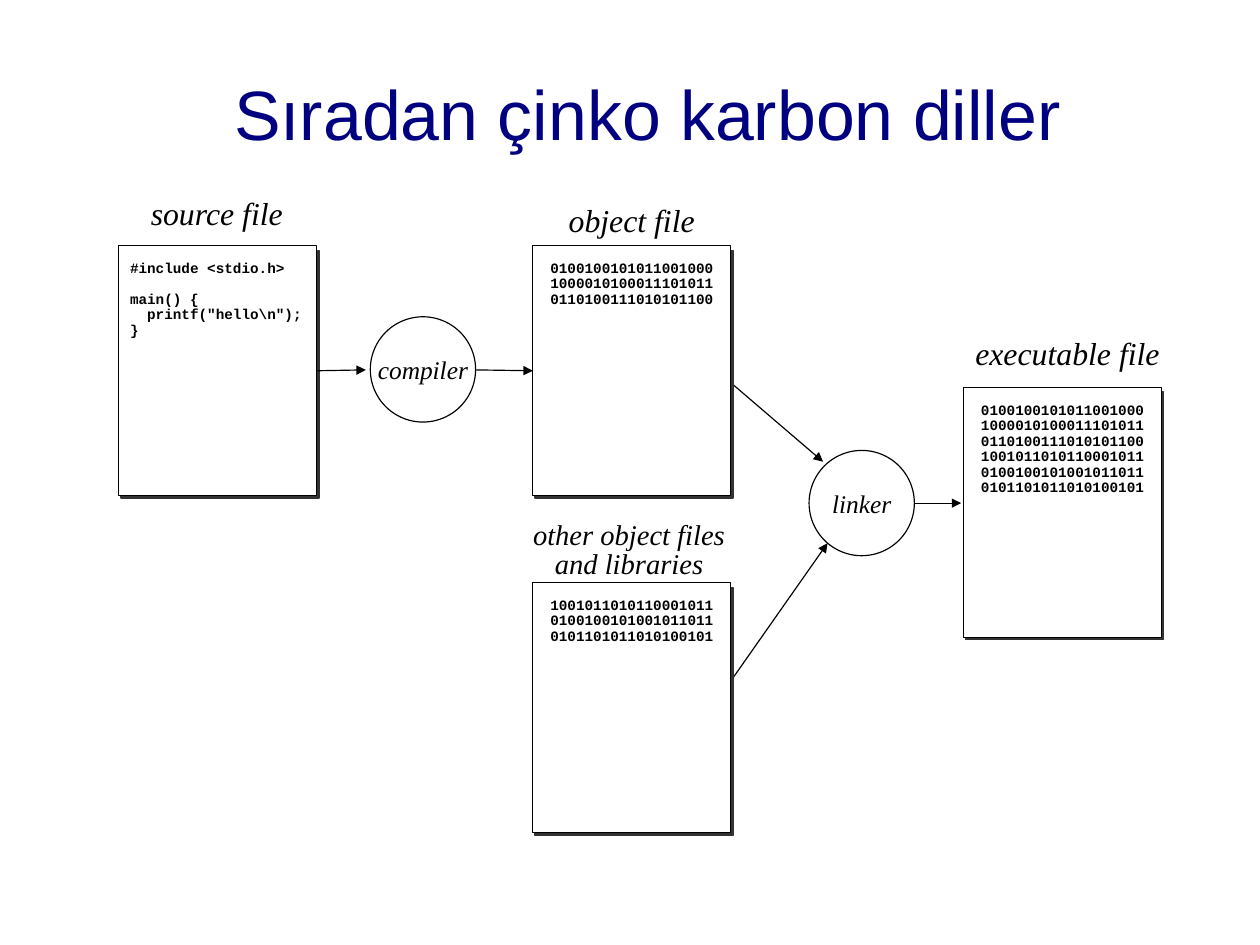
import pptx
import pptx.dml.color
import pptx.enum.shapes
import pptx.enum.text
import pptx.oxml
import pptx.oxml.ns
import pptx.util

Cm = pptx.util.Cm
Pt = pptx.util.Pt
SHAPE = pptx.enum.shapes.MSO_SHAPE
ANCHOR = pptx.enum.text.MSO_ANCHOR
ALIGN = pptx.enum.text.PP_ALIGN
color = pptx.dml.color.RGBColor.from_string

PAGE_WIDTH, PAGE_HEIGHT = 4.4, 5.56
CIRCLE = 2.34

presentation = pptx.Presentation()
presentation.slide_width, presentation.slide_height = Cm(28), Cm(21)
slide = presentation.slides.add_slide(presentation.slide_layouts[5])


def write(frame, lines, font, size, align=ALIGN.CENTER, spacing=1.0):
    """Put each line in its own paragraph; an empty line becomes space before the next one."""
    frame.margin_left = frame.margin_right = Cm(0.25)
    gap = 0
    paragraph = frame.paragraphs[0]
    for line in lines:
        if not line:
            gap = 9.8
            continue
        if paragraph.runs:
            paragraph = frame.add_paragraph()
            paragraph.space_before = Pt(gap)
        gap = 0
        paragraph.alignment = align
        paragraph.line_spacing = spacing
        run = paragraph.add_run()
        run.text = line
        run.font.name = font
        run.font.size = Pt(size)
        run.font.bold = font == "Courier New"
        run.font.italic = font == "Times New Roman"
        run.font.color.rgb = color("000000")


def add_arrow(x1, y1, x2, y2):
    arrow = slide.shapes.add_connector(
        pptx.enum.shapes.MSO_CONNECTOR.STRAIGHT, Cm(x1), Cm(y1), Cm(x2), Cm(y2))
    arrow.line.color.rgb = color("000000")
    arrow.line.width = Pt(0.75)
    head = pptx.oxml.parse_xml(
        f'<a:tailEnd {pptx.oxml.ns.nsdecls("a")} type="triangle"/>')
    arrow.line._get_or_add_ln().append(head)
    arrow._element.spPr.append(
        pptx.oxml.parse_xml(f'<a:effectLst {pptx.oxml.ns.nsdecls("a")}/>'))
    return arrow


# Title
title = slide.shapes.title
title.left, title.top, title.width, title.height = Cm(1.8), Cm(0.5), Cm(25.2), Cm(4)
heading = title.text_frame
heading.margin_left = heading.margin_right = heading.margin_top = heading.margin_bottom = 0
heading.vertical_anchor = ANCHOR.MIDDLE
heading.auto_size = pptx.enum.text.MSO_AUTO_SIZE.NONE
heading.paragraphs[0].alignment = ALIGN.CENTER
heading_run = heading.paragraphs[0].add_run()
heading_run.text = "Sıradan çinko karbon diller"
heading_run.font.name = "Arial"
heading_run.font.size = Pt(44)
heading_run.font.color.rgb = color("000080")

# Arrows into and out of the linker, behind the pages and circles
add_arrow(16.13, 15.29, 18.39, 12.07)
add_arrow(16.13, 8.41, 18.29, 10.26)
add_arrow(20.14, 11.18, 21.36, 11.18)

# Files: a page with its shadow and contents
object_bits = ["0100100101011001000", "1000010100011101011", "0110100111010101100"]
library_bits = ["1001011010110001011", "0100100101001011011", "0101101011010100101"]
source_code = ["#include <stdio.h>", "", "main() {", '  printf("hello\\n");', "}"]
files = {
    "source": (2.64, 5.46, source_code, ALIGN.LEFT),
    "object": (11.84, 5.46, object_bits, ALIGN.CENTER),
    "library": (11.84, 12.95, library_bits, ALIGN.CENTER),
    "executable": (21.41, 8.61, object_bits + library_bits, ALIGN.CENTER),
}
pages = {}
for name, (left, top, contents, align) in files.items():
    for dx, dy, height, fill, edge in (
            (0.05, 0.1, PAGE_HEIGHT - 0.05, "333333", "333333"),
            (0, 0, PAGE_HEIGHT, "FFFFFF", "000000")):
        page = slide.shapes.add_shape(
            SHAPE.RECTANGLE, Cm(left + dx), Cm(top + dy), Cm(PAGE_WIDTH), Cm(height))
        page.shadow.inherit = False
        page.fill.solid()
        page.fill.fore_color.rgb = color(fill)
        page.line.color.rgb = color(edge)
        page.line.width = Pt(0.75)
    page.text_frame.word_wrap = True
    page.text_frame.vertical_anchor = ANCHOR.TOP
    page.text_frame.margin_top = Cm(0.34)
    write(page.text_frame, contents, "Courier New", 9, align, 0.9)
    pages[name] = page

# File captions
for left, top, width, height, lines, size, spacing in (
        (2.79, 4.19, 4.06, 1.12, ["source file"], 20, 1.0),
        (12.01, 4.34, 4.06, 1.12, ["object file"], 20, 1.0),
        (11.2, 11.48, 5.56, 1.55, ["other object files", "and libraries"], 18, 0.85),
        (21.16, 7.29, 5.13, 1.12, ["executable file"], 20, 1.0)):
    caption = slide.shapes.add_textbox(Cm(left), Cm(top), Cm(width), Cm(height))
    caption.text_frame.word_wrap = True
    write(caption.text_frame, lines, "Times New Roman", size, spacing=spacing)

# Tools
for left, top, tool in ((8.23, 7.04, "compiler"), (17.98, 10.01, "linker")):
    circle = slide.shapes.add_shape(SHAPE.OVAL, Cm(left), Cm(top), Cm(CIRCLE), Cm(CIRCLE))
    circle.shadow.inherit = False
    circle.fill.solid()
    circle.fill.fore_color.rgb = color("FFFFFF")
    circle.line.color.rgb = color("000000")
    circle.line.width = Pt(0.75)
    circle.text_frame.word_wrap = False
    circle.text_frame.vertical_anchor = ANCHOR.MIDDLE
    write(circle.text_frame, [tool], "Times New Roman", 16)

# Arrows through the compiler, joined to the pages
add_arrow(7.04, 8.22, 8.13, 8.22).begin_connect(pages["source"], 3)
add_arrow(10.57, 8.22, 11.84, 8.22).end_connect(pages["object"], 1)

presentation.save("out.pptx")
